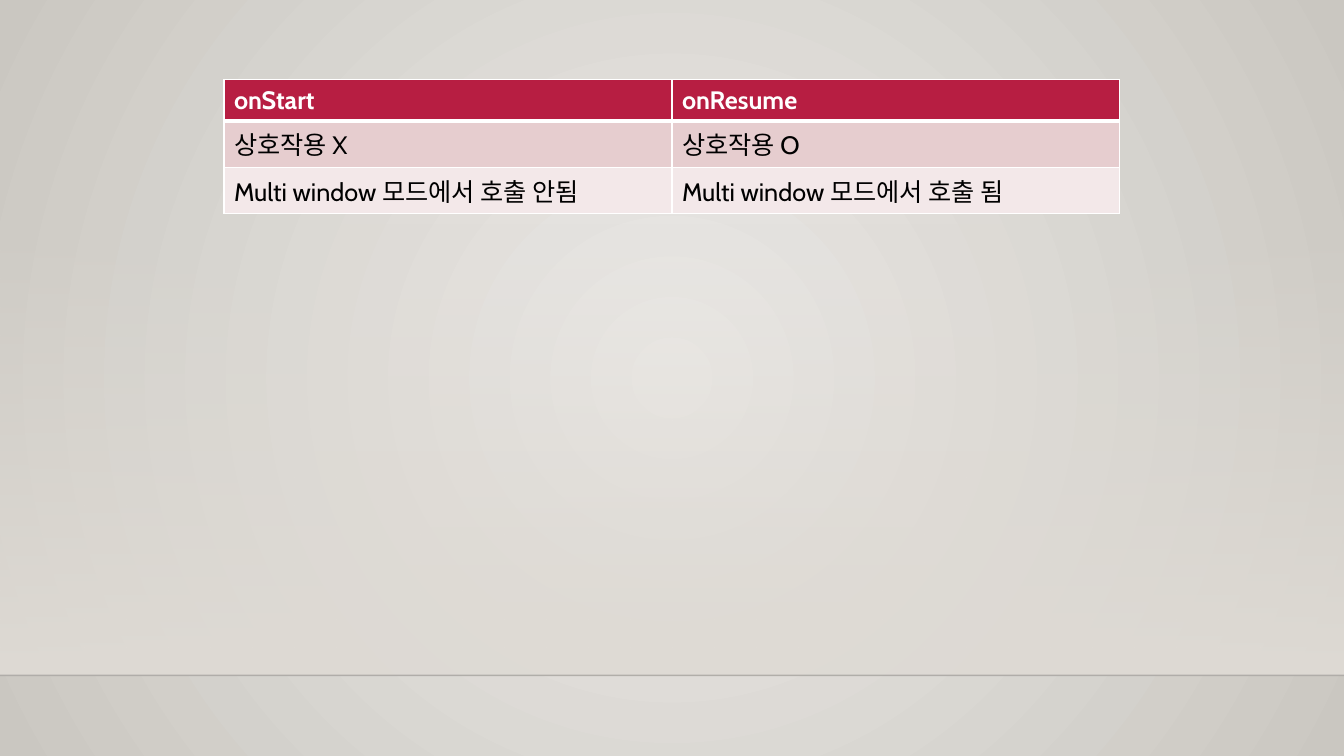
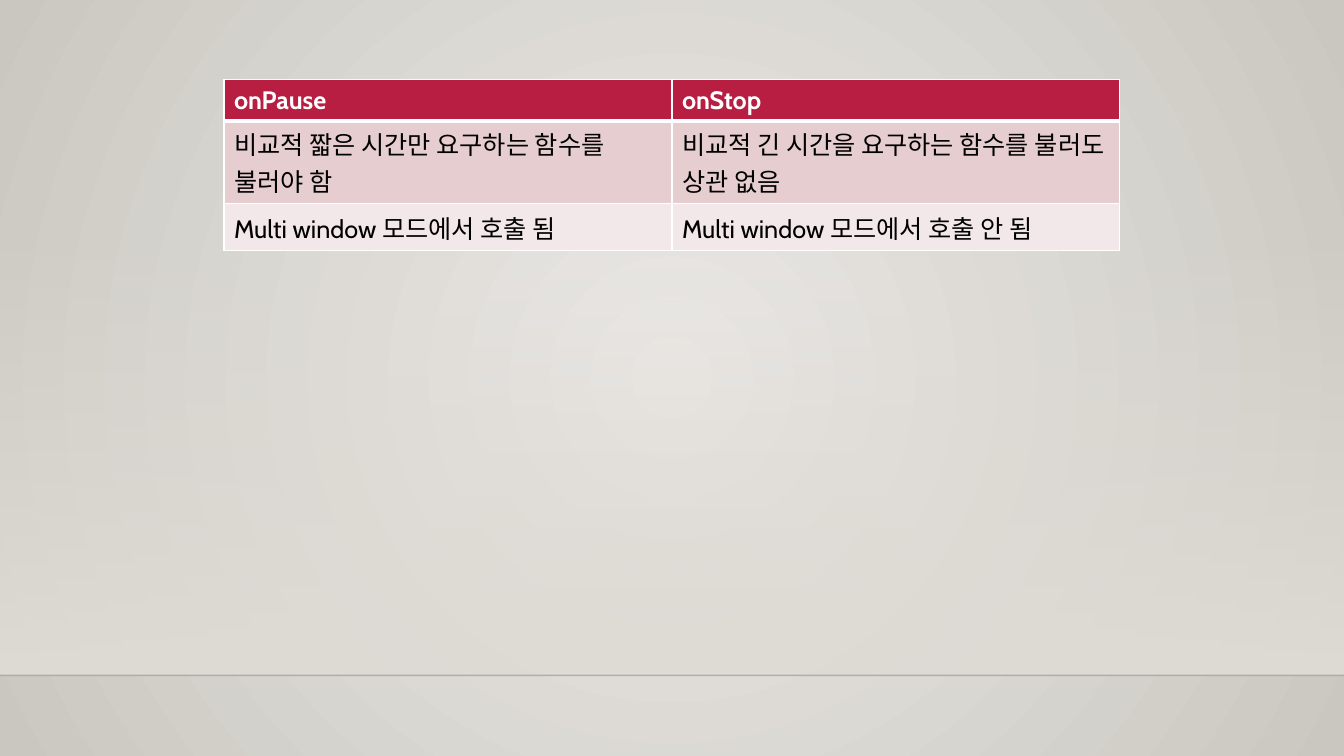
from lxml.etree import SubElement
from pptx import Presentation
from pptx.dml.color import RGBColor
from pptx.enum.shapes import MSO_CONNECTOR as Connector, MSO_SHAPE as Shape
from pptx.oxml import parse_xml
from pptx.oxml.ns import nsdecls, qn
from pptx.util import Pt

PAGE_WIDTH, PAGE_HEIGHT = Pt(960), Pt(540)
FLOOR_TOP, WALL_TOP = Pt(482.4), Pt(159.1)
TABLE_LEFT, TABLE_TOP, TABLE_WIDTH = Pt(160), Pt(57), Pt(640)
ROW_HEIGHT = Pt(29.2)
THIN, THICK = Pt(1), Pt(3)
FONT, FONT_SIZE = "Cabin", Pt(18)

WHITE = RGBColor(0xFF, 0xFF, 0xFF)
BLACK = RGBColor(0x00, 0x00, 0x00)
LINE_BLACK = RGBColor(0x00, 0x00, 0x01)
CENTER_GREY = RGBColor(0xEC, 0xEA, 0xE7)
EDGE_GREY = RGBColor(0xCA, 0xC7, 0xC1)
WALL_GREY = RGBColor(0xDF, 0xDB, 0xD5)
CRIMSON = RGBColor(0xB7, 0x1E, 0x42)
ROSE = RGBColor(0xE6, 0xCD, 0xCF)
PALE_ROSE = RGBColor(0xF3, 0xE8, 0xE9)
ROW_FILLS = (CRIMSON, ROSE, PALE_ROSE)

COMPARISONS = (
    (
        ("onStart", "onResume"),
        ("상호작용 X", "상호작용 O"),
        ("Multi window 모드에서 호출 안됨", "Multi window 모드에서 호출 됨"),
    ),
    (
        ("onPause", "onStop"),
        ("비교적 짧은 시간만 요구하는 함수를 불러야 함",
         "비교적 긴 시간을 요구하는 함수를 불러도 상관 없음"),
        ("Multi window 모드에서 호출 됨", "Multi window 모드에서 호출 안 됨"),
    ),
)


def paint_gradient(fill, start, end):
    fill.gradient()
    for stop, color in zip(fill.gradient_stops, (start, end)):
        stop.color.rgb = color


def set_alpha(element, percent):
    color = element.find(".//" + qn("a:srgbClr"))
    SubElement(color, qn("a:alpha"), val=str(percent * 1000))


def paint_background(master):
    paint_gradient(master.background.fill, CENTER_GREY, EDGE_GREY)
    gradient = master.element.find(".//" + qn("a:gradFill"))
    gradient.remove(gradient.find(qn("a:lin")))
    circle = SubElement(gradient, qn("a:path"), path="circle")
    SubElement(circle, qn("a:fillToRect"), l="50000", t="50000", r="50000", b="50000")


def add_wall(page):
    wall = page.shapes.add_shape(
        Shape.RECTANGLE, 0, WALL_TOP, PAGE_WIDTH, FLOOR_TOP - WALL_TOP)
    wall.shadow.inherit = False
    wall.line.fill.background()
    paint_gradient(wall.fill, WALL_GREY, WALL_GREY)
    wall.fill.gradient_angle = 270
    set_alpha(wall.element.spPr, 0)


def add_floor_line(page):
    edge = page.shapes.add_connector(
        Connector.STRAIGHT, 0, FLOOR_TOP, PAGE_WIDTH, FLOOR_TOP)
    edge.line.color.rgb = LINE_BLACK
    edge.line.width = THIN
    properties = edge.element.spPr
    set_alpha(properties, 20)
    SubElement(properties, qn("a:effectLst"))


def add_borders(cell, top, bottom):
    properties = cell._tc.get_or_add_tcPr()
    widths = (("L", THIN), ("R", THIN), ("T", top), ("B", bottom))
    for index, (side, width) in enumerate(widths):
        properties.insert(index, parse_xml(
            f'<a:ln{side} {nsdecls("a")} w="{width}"><a:solidFill>'
            f'<a:srgbClr val="{WHITE}"/></a:solidFill></a:ln{side}>'))


def format_cell(cell, text, row):
    is_header = row == 0
    cell.text_frame.text = text
    font = cell.text_frame.paragraphs[0].runs[0].font
    font.name, font.size, font.bold = FONT, FONT_SIZE, is_header
    font.color.rgb = WHITE if is_header else BLACK
    cell.fill.solid()
    cell.fill.fore_color.rgb = ROW_FILLS[row]
    add_borders(cell, THICK if row == 1 else THIN, THICK if is_header else THIN)


def add_comparison(page, rows):
    columns = len(rows[0])
    table = page.shapes.add_table(
        len(rows), columns, TABLE_LEFT, TABLE_TOP,
        TABLE_WIDTH, ROW_HEIGHT * len(rows)).table
    for row, texts in enumerate(rows):
        for column, text in enumerate(texts):
            format_cell(table.cell(row, column), text, row)


def main():
    deck = Presentation()
    deck.slide_width, deck.slide_height = PAGE_WIDTH, PAGE_HEIGHT
    paint_background(deck.slide_master)
    for rows in COMPARISONS:
        page = deck.slides.add_slide(deck.slide_layouts[6])
        add_wall(page)
        add_floor_line(page)
        add_comparison(page, rows)
    deck.save("out.pptx")


main()
